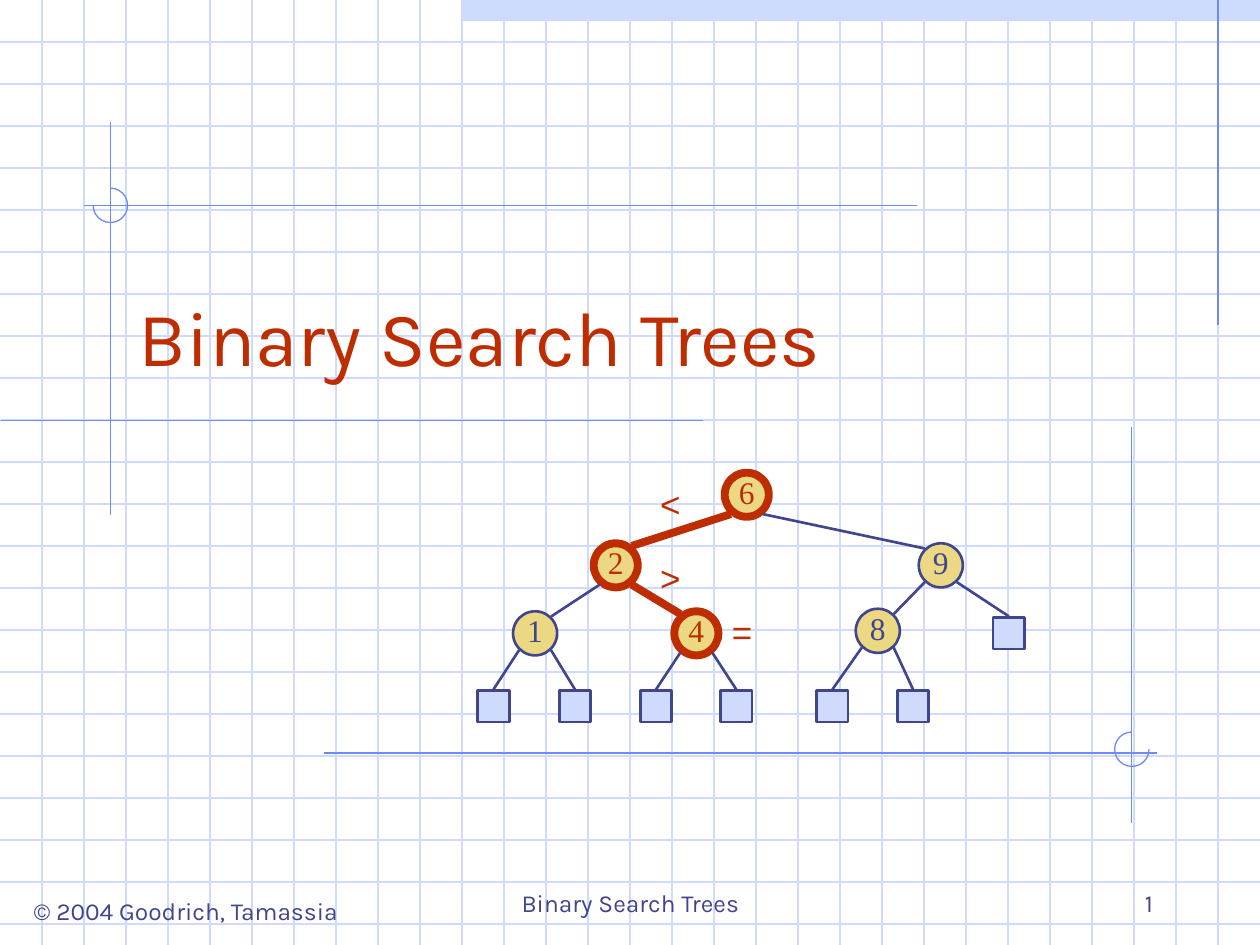
import dataclasses
import typing

import pptx
import pptx.dml.color
import pptx.enum.shapes
import pptx.enum.text
import pptx.oxml.ns
import pptx.util
import lxml.etree

CELL = 1 / 3
COLUMNS, ROWS = 30, 22.5
ALIGN = pptx.enum.text.PP_ALIGN
ANCHOR = pptx.enum.text.MSO_ANCHOR
SHAPE = pptx.enum.shapes.MSO_SHAPE


@dataclasses.dataclass(frozen=True)
class Theme:
    pale: str = "CFDBFD"
    guide: str = "6F89F7"
    ink: str = "40458C"
    accent: str = "BE2D00"
    gold: str = "ECD882"
    body_font: str = "Karla"
    key_font: str = "Times New Roman"
    sign_font: str = "Arial"
    title_size: float = 44
    sign_size: float = 20
    key_size: float = 18
    footer_size: float = 14
    hairline: float = 0.75
    thin: float = 1.5
    thick: float = 4.5


@dataclasses.dataclass
class Node:
    column: float
    row: float
    key: str = ""
    visited: bool = False
    children: typing.Tuple["Node", ...] = ()


THEME = Theme()
NODE_SIZE, LEAF_SIZE = 1.05, 0.75
LEAF_ROW = 16.82


def cells(count):
    return pptx.util.Inches(count * CELL)


def rgb(code):
    return pptx.dml.color.RGBColor.from_string(code)


def stroke(line, color, width):
    line.color.rgb = rgb(color)
    line.width = pptx.util.Pt(width)


def add_line(slide, start, end, color, width):
    connector = slide.shapes.add_connector(
        pptx.enum.shapes.MSO_CONNECTOR.STRAIGHT, *map(cells, (*start, *end)))
    stroke(connector.line, color, width)
    lxml.etree.SubElement(connector._element.spPr, pptx.oxml.ns.qn("a:effectLst"))


def add_shape(slide, kind, box, fill=None, color=None, width=THEME.thin):
    shape = slide.shapes.add_shape(kind, *map(cells, box))
    shape.shadow.inherit = False
    if fill:
        shape.fill.solid()
        shape.fill.fore_color.rgb = rgb(fill)
    else:
        shape.fill.background()
    if color:
        stroke(shape.line, color, width)
    else:
        shape.line.fill.background()
    return shape


def write(frame, words, font, size, color, align, anchor, wrap):
    frame.word_wrap = wrap
    frame.vertical_anchor = anchor
    paragraph = frame.paragraphs[0]
    paragraph.alignment = align
    run = paragraph.add_run()
    run.text = words
    run.font.name = font
    run.font.size = pptx.util.Pt(size)
    run.font.color.rgb = rgb(color)


def add_text(slide, box, words, font, size, color,
             align=ALIGN.CENTER, anchor=ANCHOR.TOP, wrap=False):
    textbox = slide.shapes.add_textbox(*map(cells, box))
    write(textbox.text_frame, words, font, size, color, align, anchor, wrap)


def add_graph_paper(slide):
    add_shape(slide, SHAPE.RECTANGLE, (11, 0, COLUMNS - 11, 0.5), THEME.pale)
    for row in range(1, int(ROWS) + 1):
        add_line(slide, (0, row), (COLUMNS, row), THEME.pale, THEME.hairline)
    for column in range(1, COLUMNS):
        add_line(slide, (column, 0), (column, ROWS), THEME.pale, THEME.hairline)


def add_compass_arc(slide, column, row, start_degrees, end_degrees):
    size = 0.82
    arc = add_shape(slide, SHAPE.ARC, (column - size / 2, row - size / 2, size, size),
                    color=THEME.guide, width=THEME.hairline)
    for index, degrees in enumerate((start_degrees, end_degrees)):
        arc.adjustments[index] = degrees * 0.6


def add_guides(slide):
    for start, end in (
        ((29, 0), (29, 7.74)),
        ((2.63, 2.91), (2.63, 12.27)),
        ((0.02, 10.02), (16.74, 10.02)),
        ((2, 4.89), (21.84, 4.89)),
        ((7.71, 17.93), (27.54, 17.93)),
        ((26.94, 10.17), (26.94, 19.6)),
    ):
        add_line(slide, start, end, THEME.guide, THEME.hairline)
    add_compass_arc(slide, 2.63, 4.89, 270, 180)
    add_compass_arc(slide, 26.95, 17.84, 0, 270)


def search_tree():
    def leaves(*columns):
        return tuple(Node(column, LEAF_ROW) for column in columns)

    one = Node(12.74, 15.08, "1", children=leaves(11.75, 13.69))
    four = Node(16.58, 15.08, "4", True, leaves(15.62, 17.53))
    eight = Node(20.9, 15.02, "8", children=leaves(19.82, 21.74))
    two = Node(14.66, 13.46, "2", True, (one, four))
    nine = Node(22.4, 13.46, "9", children=(eight, Node(24.02, 15.08)))
    return Node(17.78, 11.78, "6", True, (two, nine))


def add_node(slide, node):
    color = THEME.accent if node.visited else THEME.ink
    size = NODE_SIZE if node.key else LEAF_SIZE
    box = (node.column - size / 2, node.row - size / 2, size, size)
    if not node.key:
        add_shape(slide, SHAPE.RECTANGLE, box, THEME.pale, color)
        return
    width = THEME.thick if node.visited else THEME.thin
    circle = add_shape(slide, SHAPE.OVAL, box, THEME.gold, color, width)
    frame = circle.text_frame
    frame.margin_left = frame.margin_right = frame.margin_top = 0
    write(frame, node.key, THEME.key_font, THEME.key_size, color,
          ALIGN.CENTER, ANCHOR.MIDDLE, False)


def joint(node, side, direction):
    if not node.key:
        return node.column, node.row - LEAF_SIZE / 2 - 0.03
    reach = 0.46 if node.visited else 0.4
    return node.column + side * 0.38, node.row + direction * reach


def add_edge(slide, parent, child):
    side = 1 if child.column > parent.column else -1
    on_path = parent.visited and child.visited
    add_line(slide, joint(parent, side, 1), joint(child, -side, -1),
             THEME.accent if on_path else THEME.ink,
             THEME.thick if on_path else THEME.thin)


def add_tree(slide, node):
    add_node(slide, node)
    for child in node.children:
        add_tree(slide, child)
        add_edge(slide, node, child)


def add_comparisons(slide):
    for sign, box in (("<", (15.42, 11.34, 1.08, 1.32)),
                      (">", (15.42, 13.11, 1.08, 1.32)),
                      ("=", (17.04, 14.4, 1.26, 1.32))):
        add_text(slide, box, sign, THEME.sign_font, THEME.sign_size, THEME.accent)


def add_footer(slide, topic):
    style = (THEME.body_font, THEME.footer_size, THEME.ink)
    add_text(slide, (0.36, 21.18, 8.13, 1.02), "© 2004 Goodrich, Tamassia", *style)
    add_text(slide, (10.26, 20.5, 9.5, 1.5), topic, *style,
             anchor=ANCHOR.BOTTOM, wrap=True)
    add_text(slide, (21.5, 20.5, 6.25, 1.5), "1", *style,
             align=ALIGN.RIGHT, anchor=ANCHOR.BOTTOM, wrap=True)


def main():
    deck = pptx.Presentation()
    deck.slide_width, deck.slide_height = cells(COLUMNS), cells(ROWS)
    slide = deck.slides.add_slide(deck.slide_layouts[6])
    topic = "Binary Search Trees"
    add_graph_paper(slide)
    add_guides(slide)
    add_text(slide, (3, 5.5, 25.5, 3.75), topic, THEME.body_font, THEME.title_size,
             THEME.accent, ALIGN.LEFT, ANCHOR.BOTTOM, True)
    add_tree(slide, search_tree())
    add_comparisons(slide)
    add_footer(slide, topic)
    deck.save("out.pptx")


if __name__ == "__main__":
    main()
